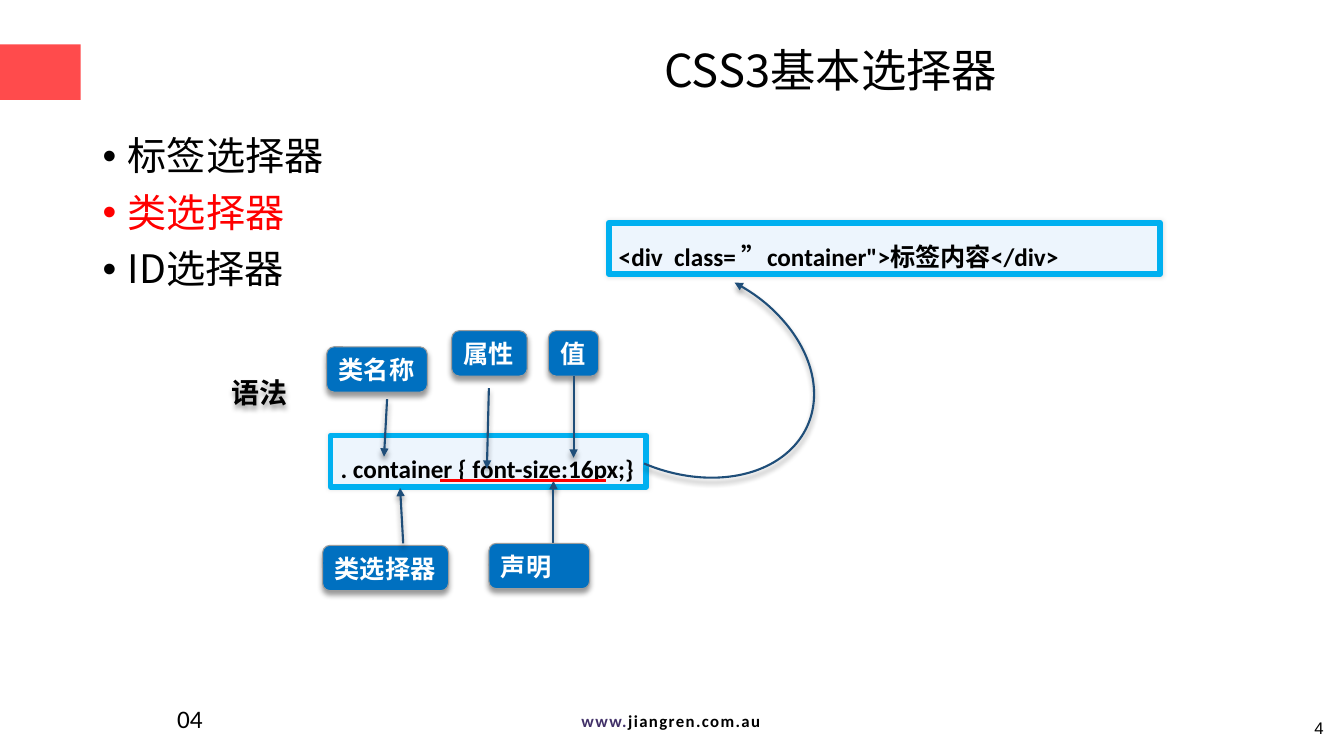
from pptx import Presentation
from pptx import util as u
from pptx.dml.color import RGBColor
from pptx.enum import shapes, text
from pptx.oxml import ns
from lxml import etree

Pt = u.Pt
KIND = shapes.MSO_SHAPE
ANCHOR = text.MSO_ANCHOR
ALIGN = text.PP_ALIGN
HUE = {
    "black": "000000", "white": "FFFFFF", "red": "FF0000", "coral": "FF4B4C",
    "plum": "413068", "pale": "EDF5FD", "sky": "00B0F0", "blue": "0070C0",
    "gray": "9D9D9D", "navy": "1F4E79",
}
HAN = "Noto Sans CJK SC"
SOFT = (10, 3, 0, 0)
DEEP = (40, 4, 3, 90)


def tint(name):
    return RGBColor.from_string(HUE[name])


def child(node, tag, **attrs):
    return etree.SubElement(node, ns.qn(tag), {k: str(v) for k, v in attrs.items()})


def shade(shape, cast=None):
    effect = child(shape._element.spPr, "a:effectLst")
    if cast:
        alpha, blur, dist, angle = cast
        outer = child(effect, "a:outerShdw", blurRad=Pt(blur), dist=Pt(dist),
                      dir=angle * 60000, algn="ctr", rotWithShape=0)
        color = child(outer, "a:srgbClr", val=HUE["black"])
        child(color, "a:alpha", val=alpha * 1000)


def stroke(shape, color, width, arrow=False):
    shape.line.color.rgb = tint(color)
    shape.line.width = Pt(width)
    if arrow:
        child(shape.line._get_or_add_ln(), "a:tailEnd", type="triangle")


def write(para, words, size, face=HAN, color="black", bold=False):
    run = para.add_run()
    run.text = words
    font = run.font
    font.size, font.name, font.bold = Pt(size), face, bold
    font.color.rgb = tint(color)
    child(run._r.get_or_add_rPr(), "a:ea", typeface=HAN)
    return run


def indent(para, left):
    props = para._p.get_or_add_pPr()
    props.set("marL", str(Pt(left)))
    props.set("indent", str(-Pt(left)))
    return props


def label(slide, box, anchor=ANCHOR.TOP, align=ALIGN.LEFT, wrap=True):
    shape = slide.shapes.add_textbox(*map(Pt, box))
    frame = shape.text_frame
    frame.word_wrap = wrap
    frame.vertical_anchor = anchor
    frame.paragraphs[0].alignment = align
    return shape, frame.paragraphs[0]


def panel(slide, kind, box, fill, anchor, wrap=True):
    shape = slide.shapes.add_shape(kind, *map(Pt, box))
    shape.fill.solid()
    shape.fill.fore_color.rgb = tint(fill)
    frame = shape.text_frame
    frame.word_wrap = wrap
    frame.vertical_anchor = anchor
    frame.paragraphs[0].alignment = ALIGN.LEFT
    return shape, frame.paragraphs[0]


def code(slide, box, words):
    shape, para = panel(slide, KIND.ROUNDED_RECTANGLE, box, "pale", ANCHOR.MIDDLE)
    shape.adjustments[0] = 0
    stroke(shape, "sky", 4)
    shade(shape, SOFT)
    para.line_spacing = 1.5
    write(para, words, 18, "Calibri", bold=True)


def callout(slide, left, top, width, words, wrap=False):
    shape, para = panel(slide, KIND.ROUNDED_RECTANGULAR_CALLOUT,
                        (left, top, width, 32.4), "blue", ANCHOR.BOTTOM, wrap)
    for i, value in enumerate((-0.501, -0.005, 0.167)):
        shape.adjustments[i] = value
    stroke(shape, "gray", 0.75)
    shade(shape, DEEP)
    indent(para, 22.5)
    write(para, words, 18, "Arial", "white", True)
    return shape


def link(slide, ends, color="navy", width=1.5, arrow=True, source=None):
    line = slide.shapes.add_connector(shapes.MSO_CONNECTOR.STRAIGHT, *map(Pt, ends))
    if source:
        line.begin_connect(source, 2)
    stroke(line, color, width, arrow)
    shade(line, DEEP if arrow else None)


def curve(slide):
    arc = slide.shapes.add_shape(KIND.ARC, *map(Pt, (414.7, 165.6, 144.7, 196.6)))
    arc.adjustments[0] = 109.302
    arc.adjustments[1] = 211.723
    arc.rotation = 114.1
    arc._element.spPr.xfrm.set("flipH", "1")
    arc.fill.background()
    stroke(arc, "navy", 1.5, True)
    shade(arc, DEEP)


def title(slide):
    head = slide.shapes.title
    head.left, head.top, head.width, head.height = map(Pt, (467.3, 31.7, 277.9, 41))
    frame = head.text_frame
    frame.vertical_anchor = ANCHOR.MIDDLE
    frame.auto_size = text.MSO_AUTO_SIZE.NONE
    para = frame.paragraphs[0]
    para.alignment = ALIGN.LEFT
    para.line_spacing = 0.9
    write(para, "CSS3基本选择器", 32.4)


def topics(slide):
    shape, para = label(slide, (66.2, 94.3, 828, 391.7))
    items = (("标签选择器", "black"), ("类选择器", "red"), ("ID选择器", "black"))
    for i, (words, color) in enumerate(items):
        if i:
            para = shape.text_frame.add_paragraph()
            para.space_before = Pt(10)
        para.line_spacing = 0.9
        props = indent(para, 18)
        child(props, "a:buFont", typeface="Arial")
        child(props, "a:buChar", char="•")
        write(para, words, 28, color=color)


def footer(slide):
    shape, para = label(slide, (351.4, 504, 255.6, 21.6), align=ALIGN.CENTER)
    frame = shape.text_frame
    frame.margin_left = frame.margin_right = Pt(3.6)
    for words, color in (("www.", "plum"), ("jiangren.com.au", "black")):
        run = write(para, words, 12, "Calibri", color, True)
        run._r.get_or_add_rPr().set("spc", "100")
    para = label(slide, (728.6, 505.4, 223.9, 28.8), ANCHOR.MIDDLE, ALIGN.RIGHT)[1]
    write(para, "4", 12, "Arial")
    para = label(slide, (119.5, 499, 33.1, 28.8), wrap=False)[1]
    write(para, "04", 18, "Calibri")


def main():
    deck = Presentation()
    deck.slide_width, deck.slide_height = Pt(960), Pt(540)
    slide = deck.slides.add_slide(deck.slide_layouts[5])
    mark = panel(slide, KIND.RECTANGLE, (0, 31.7, 57.6, 39.6), "coral", ANCHOR.MIDDLE)[0]
    mark.line.fill.background()
    shade(mark)
    title(slide)
    topics(slide)

    code(slide, (236.2, 311, 225.4, 36.7), ". container { font-size:16px;}")
    callout(slide, 230.4, 389.5, 90, "类选择器")
    link(slide, (395.3, 389.5, 395.3, 343.4))
    callout(slide, 349.2, 388.1, 72, "声明", wrap=True)
    link(slide, (314.6, 343.4, 432.7, 343.4), "red", 2, False)
    link(slide, (288, 388.1, 285.8, 348.5))
    callout(slide, 322.6, 236.2, 54, "属性")
    link(slide, (349.2, 277.2, 347.8, 334.8))
    value = callout(slide, 391.7, 236.2, 36, "值")
    link(slide, (409.7, 268.6, 409.7, 326.9), source=value)
    shape, para = label(slide, (158.4, 264.2, 54.7, 31.7), ANCHOR.MIDDLE, wrap=False)
    write(para, "语法", 20, bold=True)
    shade(shape, DEEP)
    callout(slide, 233.3, 247.7, 72, "类名称")
    link(slide, (276.5, 285.1, 274.3, 326.2))

    code(slide, (434.9, 159.1, 393.8, 36.7), "<div  class= ”container\">标签内容</div>")
    curve(slide)
    footer(slide)
    deck.save("out.pptx")


if __name__ == "__main__":
    main()
